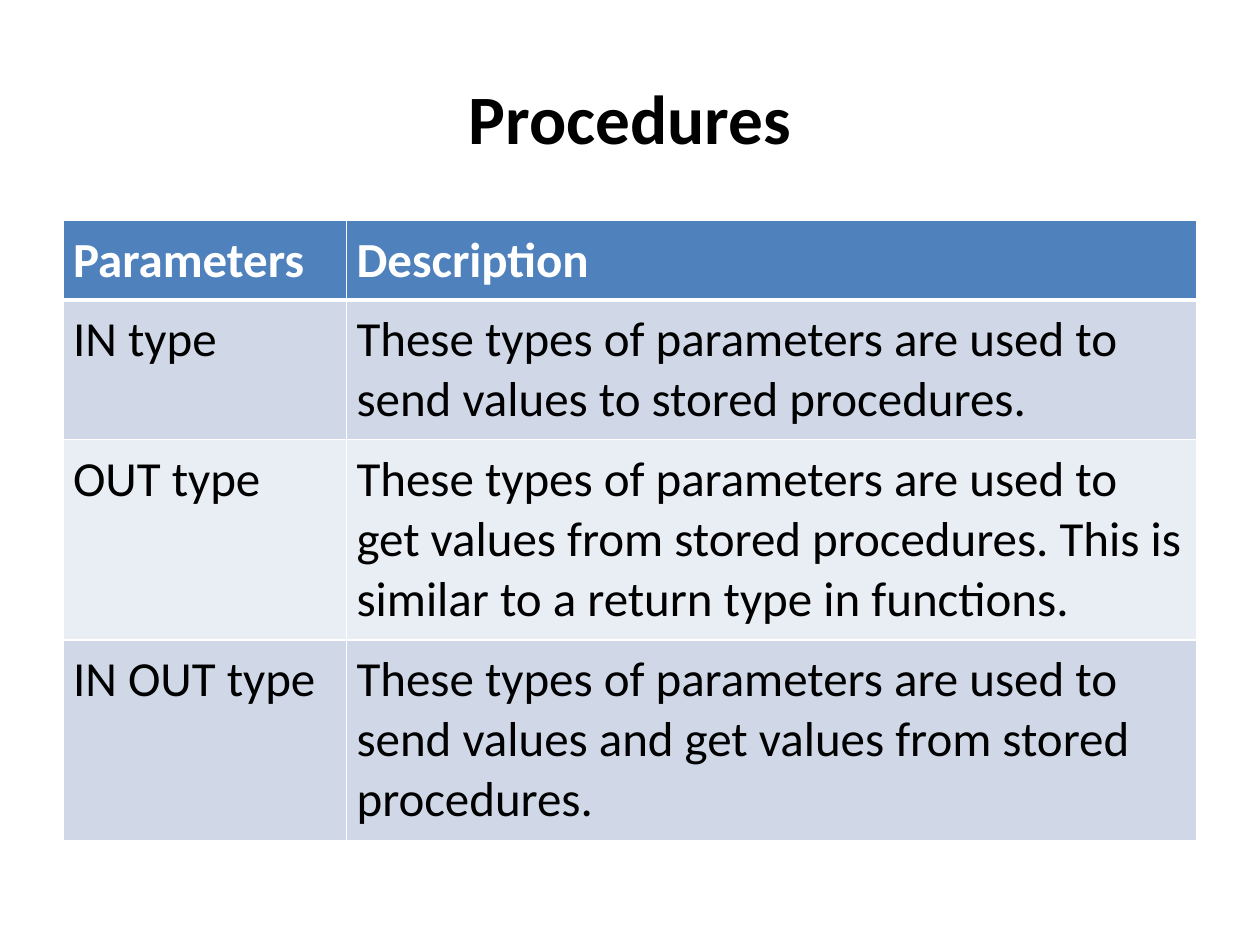
import pptx
import pptx.util
import pptx.dml.color
import pptx.enum.text
import pptx.oxml
import pptx.oxml.ns

Inches = pptx.util.Inches
Pt = pptx.util.Pt

COLORS = {
    "head": "4F81BD",
    "odd": "D0D8E8",
    "even": "E9EDF4",
    "white": "FFFFFF",
    "black": "000000",
}

ROWS = [
    ("Parameters", "Description"),
    ("IN type", "These types of parameters are used to send values to stored procedures."),
    ("OUT type", "These types of parameters are used to get values from stored procedures. "
                 "This is similar to a return type in functions."),
    ("IN OUT type", "These types of parameters are used to send values and get values "
                    "from stored procedures."),
]
WIDTHS = (2.25, 6.75)
HEIGHTS = (0.63, 1.11, 1.59, 1.59)


def color(name):
    return pptx.dml.color.RGBColor.from_string(COLORS[name])


def apply(item, values):
    for key, value in values.items():
        setattr(item, key, value)


def style(par, size, tint, bold):
    apply(par.font, {"name": "Calibri", "size": Pt(size), "bold": bold})
    par.font.color.rgb = color(tint)


def add_title(slide, text):
    box = slide.shapes.add_textbox(Inches(0.5), Inches(0.3), Inches(9), Inches(1.25))
    frame = box.text_frame
    apply(frame, {"word_wrap": True, "text": text,
                  "vertical_anchor": pptx.enum.text.MSO_ANCHOR.MIDDLE})
    par = frame.paragraphs[0]
    par.alignment = pptx.enum.text.PP_ALIGN.CENTER
    style(par, 39.6, "black", True)


def add_edges(cell, base):
    props = cell._tc.get_or_add_tcPr()
    edges = {"lnL": 1, "lnR": 1, "lnT": 1, "lnB": base}
    for place, (tag, width) in enumerate(edges.items()):
        line = pptx.oxml.parse_xml(
            f'<a:{tag} {pptx.oxml.ns.nsdecls("a")} w="{Pt(width)}"><a:solidFill>'
            f'<a:srgbClr val="{COLORS["white"]}"/></a:solidFill></a:{tag}>')
        props.insert(place, line)


def fill_cell(cell, text, row):
    head = row == 0
    pad = Inches(0.08)
    sides = ("left", "right", "top", "bottom")
    apply(cell, {"text": text, **{f"margin_{side}": pad for side in sides}})
    style(cell.text_frame.paragraphs[0], 28, "white" if head else "black", head)
    cell.fill.solid()
    cell.fill.fore_color.rgb = color("head" if head else "odd" if row % 2 else "even")
    add_edges(cell, 3 if head else 1)


def add_grid(slide):
    frame = slide.shapes.add_table(
        len(ROWS), len(WIDTHS), Inches(0.5), Inches(1.75),
        Inches(sum(WIDTHS)), Inches(sum(HEIGHTS)))
    table = frame.table
    for column, width in zip(table.columns, WIDTHS):
        column.width = Inches(width)
    for row, (texts, height) in enumerate(zip(ROWS, HEIGHTS)):
        table.rows[row].height = Inches(height)
        for col, text in enumerate(texts):
            fill_cell(table.cell(row, col), text, row)
            if row == 1:
                edge = table.cell(row, col)._tc.tcPr.find(pptx.oxml.ns.qn("a:lnT"))
                edge.set("w", str(Pt(3)))


def main():
    deck = pptx.Presentation()
    apply(deck, {"slide_width": Inches(10), "slide_height": Inches(7.5)})
    slide = deck.slides.add_slide(deck.slide_layouts[6])
    add_title(slide, "Procedures")
    add_grid(slide)
    deck.save("out.pptx")


if __name__ == "__main__":
    main()
